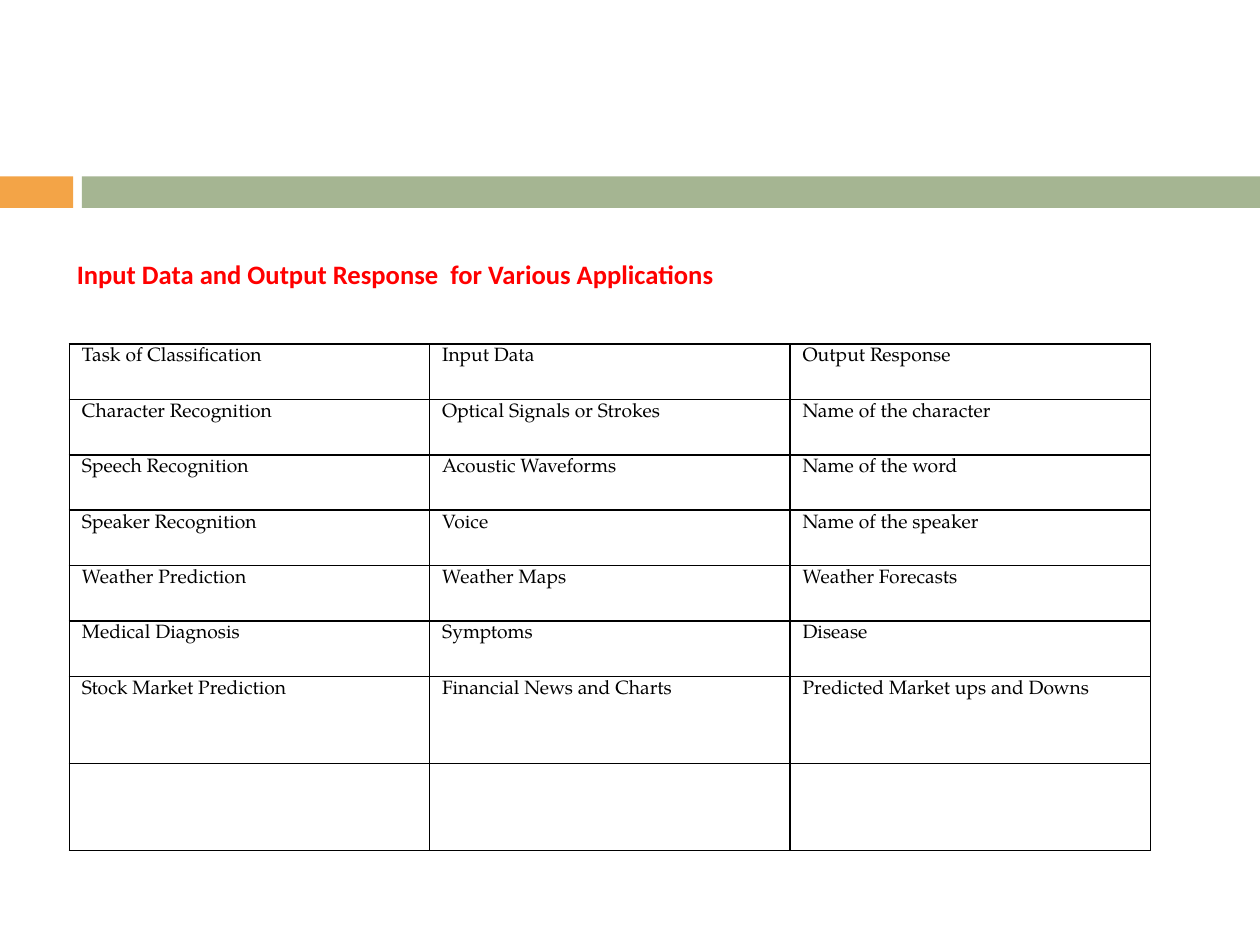
from lxml import etree
from pptx import Presentation
from pptx import util as u
from pptx.dml import color
from pptx.enum import shapes, text
from pptx.oxml import ns


def rgb(value):
    return color.RGBColor.from_string(value)


class SlideBuilder:
    heading_font = "Calibri"
    table_font = "TeX Gyre Pagella"
    ink = "000000"
    accent = "FF0000"

    def __init__(self, slide):
        self.slide = slide

    def style(self, paragraph, name, size, fill, bold=False):
        paragraph.font.name = name
        paragraph.font.size = u.Pt(size)
        paragraph.font.bold = bold
        paragraph.font.color.rgb = rgb(fill)

    def bar(self, left, width, fill):
        shape = self.slide.shapes.add_shape(
            shapes.MSO_SHAPE.RECTANGLE,
            u.Inches(left), u.Inches(1.4), u.Inches(width), u.Inches(0.25))
        shape.shadow.inherit = False
        shape.fill.solid()
        shape.fill.fore_color.rgb = rgb(fill)
        shape.line.fill.background()

    def heading(self, wording, left, top, width, height):
        box = self.slide.shapes.add_textbox(
            u.Inches(left), u.Inches(top), u.Inches(width), u.Inches(height))
        frame = box.text_frame
        frame.word_wrap = True
        frame.auto_size = text.MSO_AUTO_SIZE.SHAPE_TO_FIT_TEXT
        frame.margin_left = frame.margin_right = u.Inches(0.06)
        frame.margin_top = frame.margin_bottom = u.Inches(0.03)
        paragraph = frame.paragraphs[0]
        paragraph.text = wording
        self.style(paragraph, self.heading_font, 15.2, self.accent, bold=True)

    def borders(self, cell):
        properties = cell._tc.get_or_add_tcPr()
        for position, side in enumerate(("a:lnL", "a:lnR", "a:lnT", "a:lnB")):
            line = etree.Element(ns.qn(side), w=str(u.Pt(1)))
            fill = etree.SubElement(line, ns.qn("a:solidFill"))
            etree.SubElement(fill, ns.qn("a:srgbClr"), val=self.ink)
            properties.insert(position, line)

    def table(self, rows, heights, left, top, column_width):
        columns = len(rows[0])
        table = self.slide.shapes.add_table(
            len(rows), columns, u.Inches(left), u.Inches(top),
            u.Inches(columns * column_width), u.Inches(sum(heights))).table
        table.first_row = table.horz_banding = False
        for column in table.columns:
            column.width = u.Inches(column_width)
        for row, height, wordings in zip(table.rows, heights, rows):
            row.height = u.Inches(height)
            for cell, wording in zip(row.cells, wordings):
                cell.margin_left = cell.margin_right = u.Inches(0.1)
                cell.margin_top = cell.margin_bottom = u.Inches(0.03)
                cell.fill.background()
                self.borders(cell)
                paragraph = cell.text_frame.paragraphs[0]
                paragraph.text = wording
                self.style(paragraph, self.table_font, 11, self.ink)


APPLICATIONS = [
    ("Task of Classification", "Input Data", "Output Response"),
    ("Character Recognition", "Optical Signals or Strokes", "Name of the character"),
    ("Speech Recognition", "Acoustic Waveforms", "Name of the word"),
    ("Speaker Recognition", "Voice", "Name of the speaker"),
    ("Weather Prediction", "Weather Maps", "Weather Forecasts"),
    ("Medical Diagnosis", "Symptoms", "Disease"),
    ("Stock Market Prediction", "Financial News and Charts", "Predicted Market ups and Downs"),
    ("", "", ""),
]


def main():
    presentation = Presentation()
    presentation.slide_width = u.Inches(10)
    presentation.slide_height = u.Inches(7.5)
    builder = SlideBuilder(presentation.slides.add_slide(presentation.slide_layouts[6]))
    builder.bar(0, 0.58, "F3A447")
    builder.bar(0.65, 9.35, "A5B592")
    builder.table(APPLICATIONS, [0.44] * 6 + [0.69] * 2, 0.55, 2.73, 2.86)
    builder.heading("Input Data and Output Response  for Various Applications",
                    0.55, 2.02, 8.9, 0.32)
    presentation.save("out.pptx")


if __name__ == "__main__":
    main()
